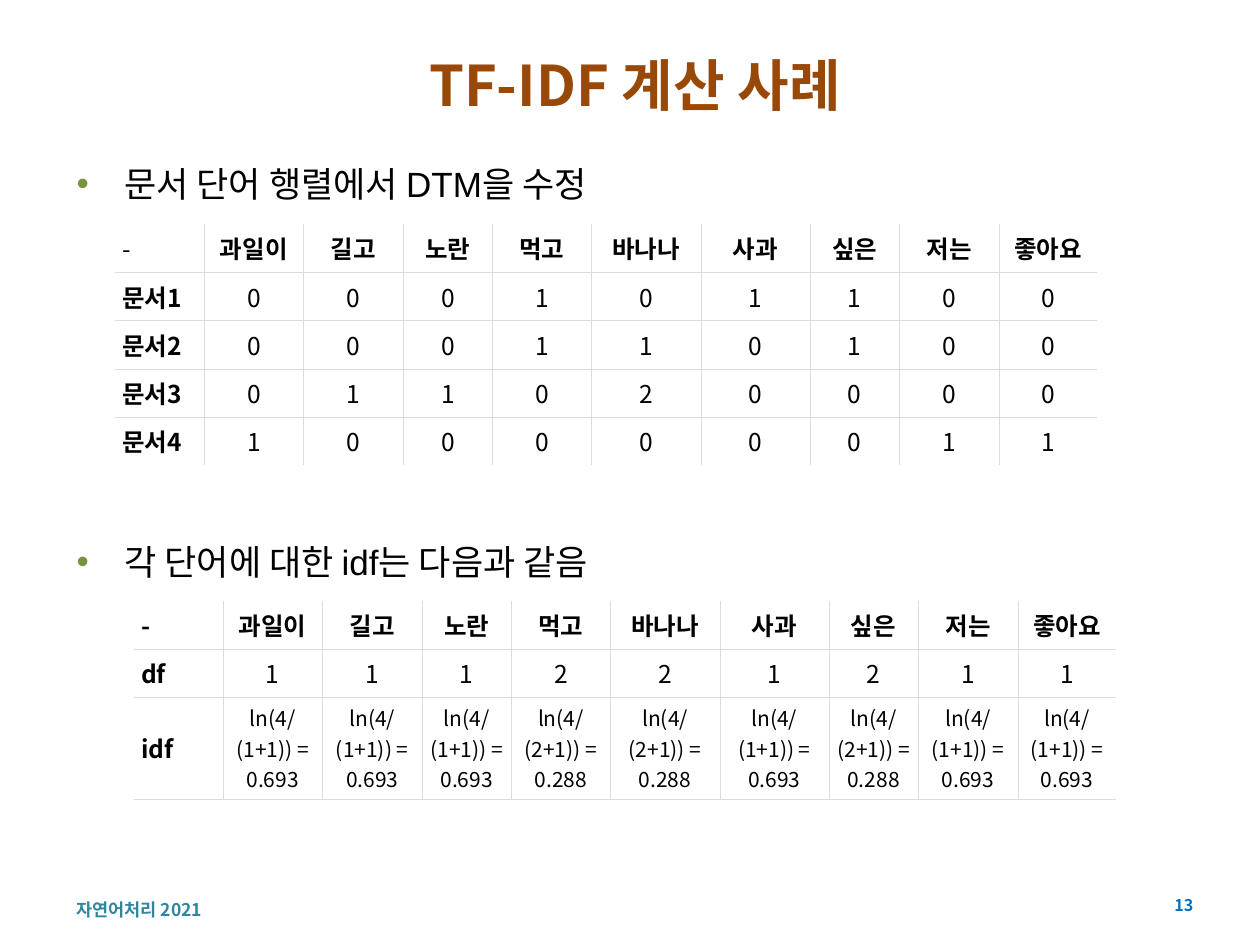
from lxml import etree
from pptx import Presentation, util as u
from pptx.dml.color import RGBColor
from pptx.enum import text
from pptx.oxml.ns import qn

COLORS = {"title": "984807", "ink": "000000", "bullet": "77933C", "footer": "31859C",
          "number": "0070C0", "grid": "DCDCDC", "paper": "FFFFFF"}
KOREAN = "Noto Sans CJK KR"
ALIGN = text.PP_ALIGN

deck = Presentation()
deck.slide_width, deck.slide_height = u.Inches(10), u.Inches(7.5)
slide = deck.slides.add_slide(deck.slide_layouts[5])


def share(left, top, width, height):
    """Turn percentages of the slide's size into lengths."""
    across, down = deck.slide_width / 100, deck.slide_height / 100
    return int(left * across), int(top * down), int(width * across), int(height * down)


def style(paragraph, size, color, bold=False, align=ALIGN.LEFT, latin=KOREAN):
    paragraph.alignment = align
    for run in paragraph.runs:
        run.font.size, run.font.bold, run.font.name = u.Pt(size), bold, latin
        run.font.color.rgb = RGBColor.from_string(COLORS[color])
        east_asian = etree.SubElement(run.font._element, qn("a:ea"))
        east_asian.set("typeface", KOREAN)


# Title
title = slide.shapes.title
title.left, title.top, title.width, title.height = share(5.1, 4.9, 90.6, 8)
title.text_frame.text = "TF-IDF 계산 사례"
title.text_frame.vertical_anchor = text.MSO_ANCHOR.MIDDLE
style(title.text_frame.paragraphs[0], 32, "title", True, ALIGN.CENTER)

# Footer and page number
for wording, size, color, align, area in [
    ("자연어처리 2021", 10, "footer", ALIGN.LEFT, (5.1, 95.2, 26, 2.13)),
    ("13", 9.2, "number", ALIGN.RIGHT, (90.2, 94.13, 5.5, 3.2)),
]:
    frame = slide.shapes.add_textbox(*share(*area)).text_frame
    frame.word_wrap = True
    frame.vertical_anchor = text.MSO_ANCHOR.MIDDLE
    frame.text = wording
    style(frame.paragraphs[0], size, color, True, align)

# Two bullets, each heading the table below it
points = slide.shapes.add_textbox(*share(5.1, 14.4, 89, 57.73)).text_frame
points.word_wrap = True
points.margin_top = u.Inches(0.21)
points.text = "문서 단어 행렬에서 DTM을 수정\n각 단어에 대한 idf는 다음과 같음"
points.paragraphs[1].space_before = u.Pt(192)
for point in points.paragraphs:
    style(point, 20, "ink", latin="Arial")
    properties = point._p.get_or_add_pPr()
    properties.set("marL", str(u.Inches(0.38)))
    properties.set("indent", str(-u.Inches(0.38)))
    bullet_color = etree.SubElement(properties, qn("a:buClr"))
    etree.SubElement(bullet_color, qn("a:srgbClr")).set("val", COLORS["bullet"])
    etree.SubElement(properties, qn("a:buFont")).set("typeface", "Arial")
    etree.SubElement(properties, qn("a:buChar")).set("char", "•")

# Document-term matrix and idf table
words = ["-", "과일이", "길고", "노란", "먹고", "바나나", "사과", "싶은", "저는", "좋아요"]
counts = ["000101100", "000110100", "011020000", "100000011"]
matrix = [words] + [[f"문서{n}", *row] for n, row in enumerate(counts, 1)]

frequencies = [sum(int(row[i]) > 0 for row in counts) for i in range(len(words) - 1)]
idf_values = {1: "0.693", 2: "0.288"}
idf_table = [
    words,
    ["df", *map(str, frequencies)],
    ["idf", *(f"ln({len(counts)}/({df}+1)) = {idf_values[df]}" for df in frequencies)],
]

column_shares = [7.1, 7.9, 7.9, 7.1, 7.85, 8.7, 8.65, 7.1, 7.9, 7.8]
row_share, formula_row_share = 5.11, 10.8

for rows, row_shares, left, top, closed_below in [
    (matrix, [row_share] * 5, 9.1, 23.7, False),
    (idf_table, [row_share, row_share, formula_row_share], 10.6, 63.55, True),
]:
    area = share(left, top, sum(column_shares), sum(row_shares))
    table = slide.shapes.add_table(len(rows), len(words), *area).table
    table.first_row = table.horz_banding = False
    for column, width in zip(table.columns, column_shares):
        column.width = share(0, 0, width, 0)[2]
    for r, row in enumerate(rows):
        table.rows[r].height = share(0, 0, 0, row_shares[r])[3]
        for c, wording in enumerate(row):
            cell = table.cell(r, c)
            cell.margin_left = cell.margin_right = u.Inches(0.06)
            cell.margin_top = cell.margin_bottom = u.Inches(0.04)
            cell.vertical_anchor = text.MSO_ANCHOR.MIDDLE
            ruled = {"lnL": c > 0, "lnR": c < len(words) - 1, "lnT": r > 0,
                     "lnB": r < len(rows) - 1 or closed_below}
            for edge, drawn in ruled.items():
                line = etree.SubElement(cell._tc.get_or_add_tcPr(), qn(f"a:{edge}"))
                line.set("w", str(u.Pt(0.38)))
                if drawn:
                    paint = etree.SubElement(line, qn("a:solidFill"))
                    etree.SubElement(paint, qn("a:srgbClr")).set("val", COLORS["grid"])
                else:
                    etree.SubElement(line, qn("a:noFill"))
            cell.fill.solid()
            cell.fill.fore_color.rgb = RGBColor.from_string(COLORS["paper"])
            cell.text_frame.text = wording
            is_heading = r == 0 or c == 0
            is_plain_corner = rows is matrix and r == c == 0
            style(cell.text_frame.paragraphs[0], 12 if wording.startswith("ln") else 14, "ink",
                  is_heading and not is_plain_corner, ALIGN.CENTER if c else ALIGN.LEFT)

deck.save("out.pptx")
